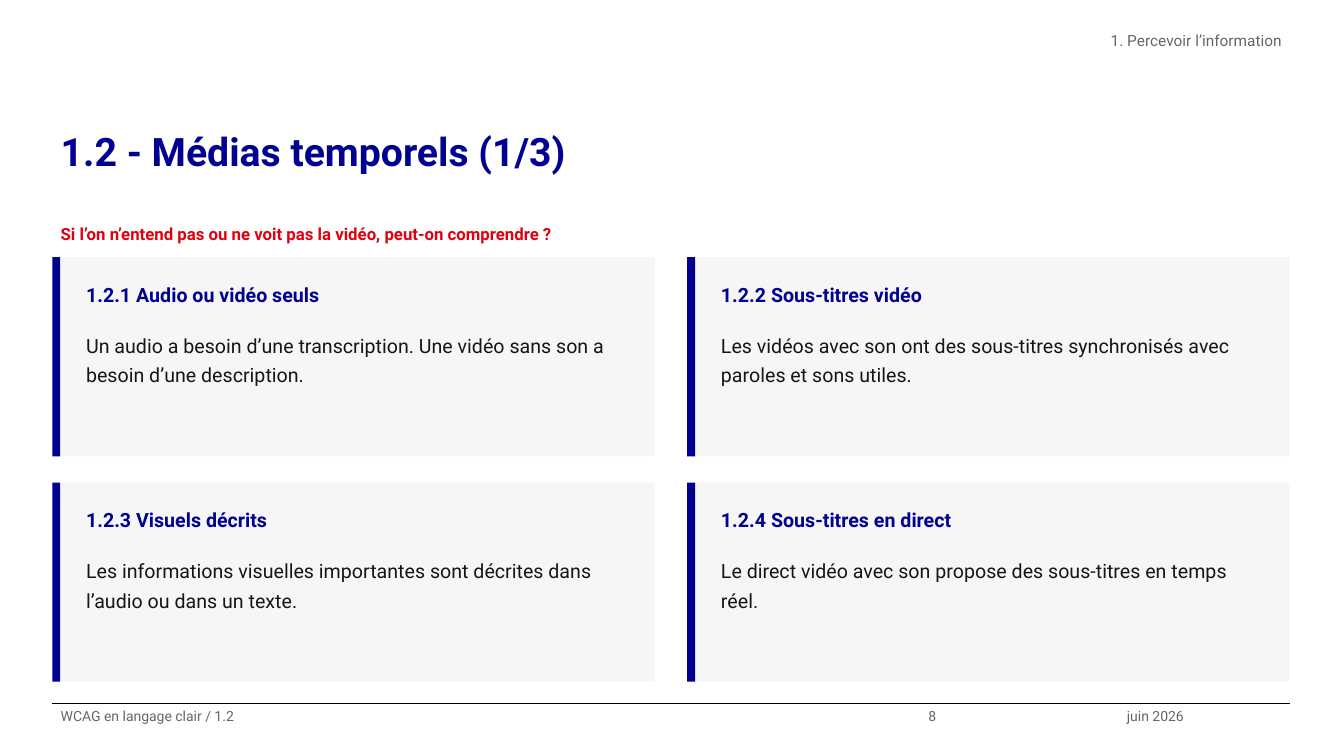
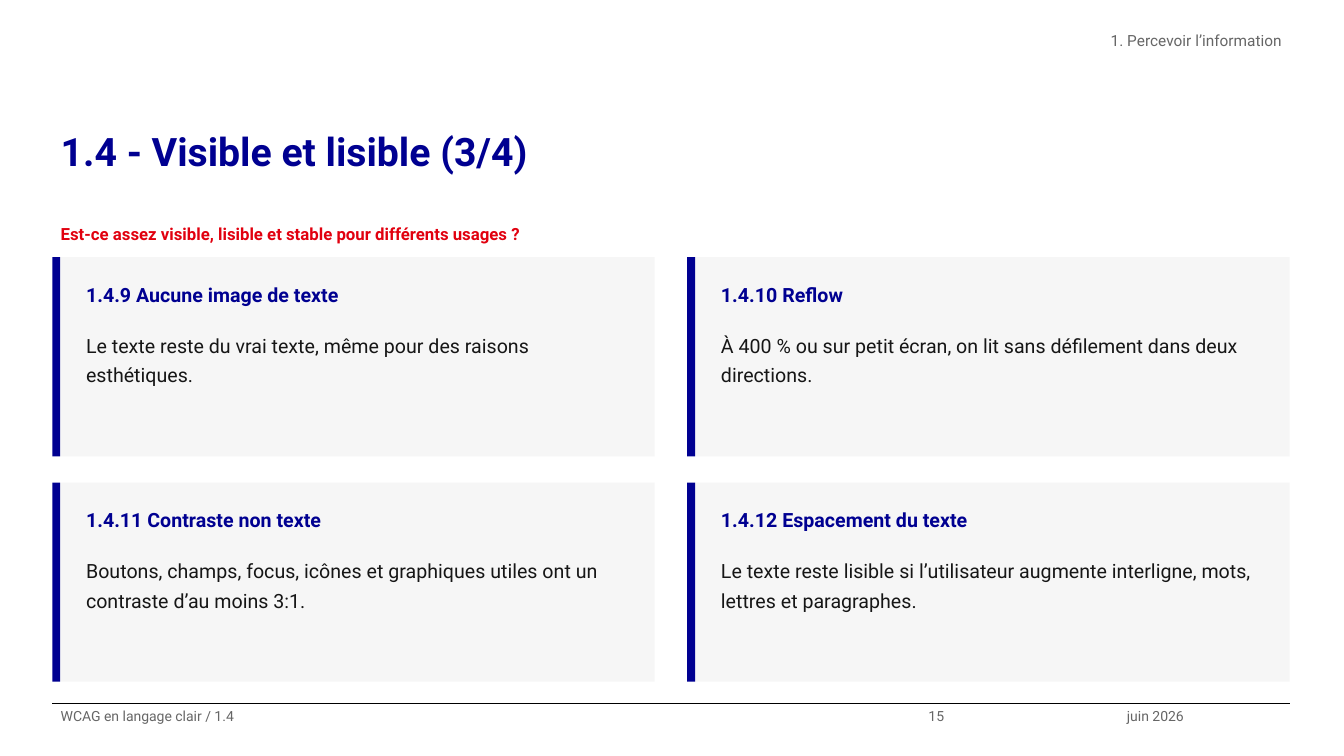
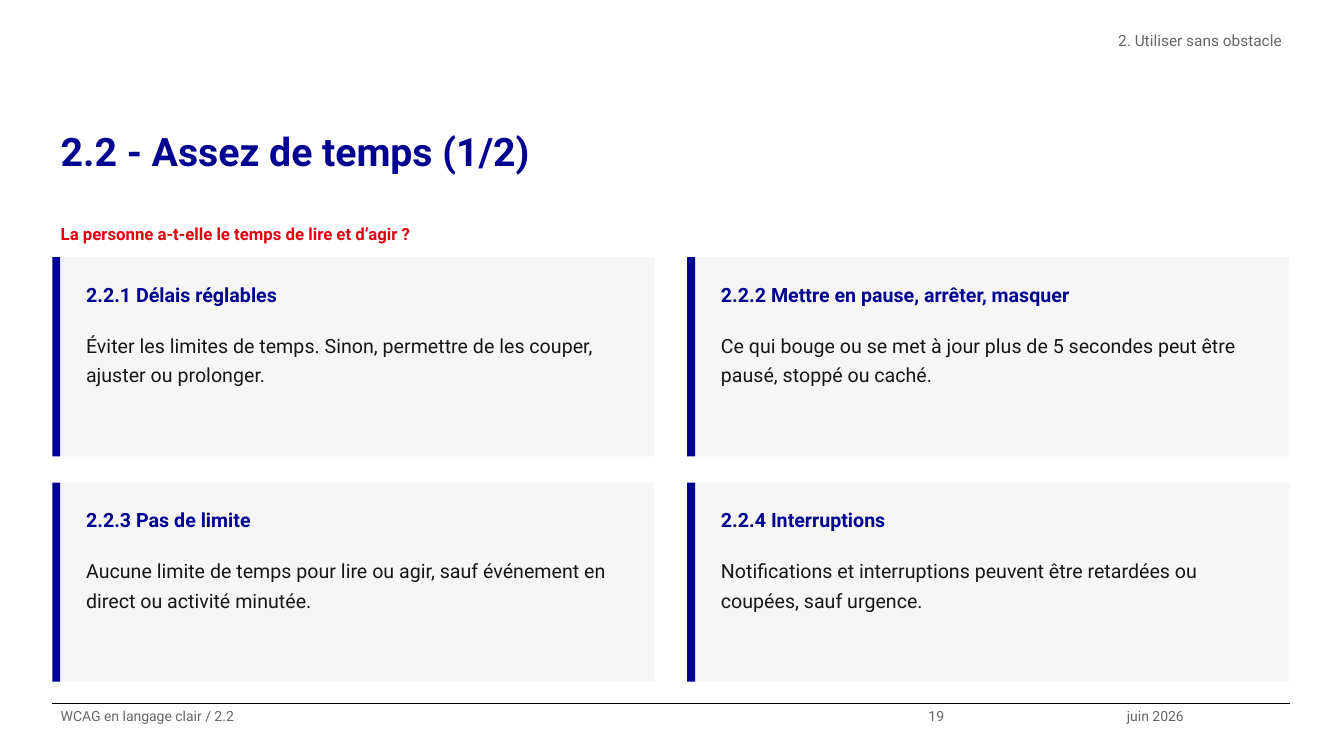
from dataclasses import dataclass
from typing import NamedTuple

from lxml.etree import SubElement
from pptx import Presentation
from pptx.dml.color import RGBColor as RGB
from pptx.enum.shapes import MSO_CONNECTOR as CONNECTOR, MSO_SHAPE as SHAPE
from pptx.enum.text import MSO_ANCHOR as ANCHOR, MSO_AUTO_SIZE as AUTO, PP_ALIGN as ALIGN
from pptx.oxml.ns import qn
from pptx.util import Cm, Pt


class Style(NamedTuple):
    size: float
    color: RGB
    bold: bool = False


@dataclass(frozen=True)
class Theme:
    font: str = "Roboto"
    blue: RGB = RGB(0x00, 0x00, 0x91)
    card: RGB = RGB(0xF6, 0xF6, 0xF6)
    rule: RGB = RGB(0x00, 0x00, 0x00)
    title: Style = Style(28, RGB(0x00, 0x00, 0x91), True)
    question: Style = Style(12, RGB(0xE1, 0x00, 0x0F), True)
    heading: Style = Style(14, RGB(0x00, 0x00, 0x91), True)
    text: Style = Style(14, RGB(0x16, 0x16, 0x16))
    section: Style = Style(11, RGB(0x66, 0x66, 0x66))
    footer: Style = Style(10, RGB(0x66, 0x66, 0x66))
    line_spacing: float = 1.25


class Box(NamedTuple):
    """Left, top, width and height in centimetres."""
    x: float
    y: float
    w: float
    h: float

    def emu(self):
        return [Cm(v) for v in self]


T = Theme()
LEFT, WIDTH = 1.32, 31.2
TITLE = Box(LEFT, 2.92, WIDTH, 2.67)
SECTION = Box(12.27, 0.66, 20.25, 1.32)
QUESTION = Box(LEFT, 5.38, WIDTH, 0.71)
FOOTER = Box(LEFT, 17.73, WIDTH, 1.32)
CARDS = Box(LEFT, 6.48, 31.18, 10.7)
CARD_W, CARD_H = 15.18, 5.02
BAR_W = 0.2
PAGE_X, DATE_X = 21.87, 26.87

SLIDES = [
    dict(section="1. Percevoir l’information", code="1.2", title="Médias temporels (1/3)", page=8,
         question="Si l’on n’entend pas ou ne voit pas la vidéo, peut-on comprendre ?", first=1,
         cards=[
             ("Audio ou vidéo seuls",
              "Un audio a besoin d’une transcription. Une vidéo sans son a besoin d’une description."),
             ("Sous-titres vidéo",
              "Les vidéos avec son ont des sous-titres synchronisés avec paroles et sons utiles."),
             ("Visuels décrits",
              "Les informations visuelles importantes sont décrites dans l’audio ou dans un texte."),
             ("Sous-titres en direct",
              "Le direct vidéo avec son propose des sous-titres en temps réel."),
         ]),
    dict(section="1. Percevoir l’information", code="1.4", title="Visible et lisible (3/4)", page=15,
         question="Est-ce assez visible, lisible et stable pour différents usages ?", first=9,
         cards=[
             ("Aucune image de texte",
              "Le texte reste du vrai texte, même pour des raisons esthétiques."),
             ("Reflow",
              "À 400 % ou sur petit écran, on lit sans défilement dans deux directions."),
             ("Contraste non texte",
              "Boutons, champs, focus, icônes et graphiques utiles ont un contraste d’au moins 3:1."),
             ("Espacement du texte",
              "Le texte reste lisible si l’utilisateur augmente interligne, mots, lettres et paragraphes."),
         ]),
    dict(section="2. Utiliser sans obstacle", code="2.2", title="Assez de temps (1/2)", page=19,
         question="La personne a-t-elle le temps de lire et d’agir ?", first=1,
         cards=[
             ("Délais réglables",
              "Éviter les limites de temps. Sinon, permettre de les couper, ajuster ou prolonger."),
             ("Mettre en pause, arrêter, masquer",
              "Ce qui bouge ou se met à jour plus de 5 secondes peut être pausé, stoppé ou caché."),
             ("Pas de limite",
              "Aucune limite de temps pour lire ou agir, sauf événement en direct ou activité minutée."),
             ("Interruptions",
              "Notifications et interruptions peuvent être retardées ou coupées, sauf urgence."),
         ]),
]


def write(sp, text, style, align=ALIGN.LEFT, pad_y=0.0):
    tf = sp.text_frame
    tf.word_wrap = True
    tf.auto_size = AUTO.NONE
    tf.vertical_anchor = ANCHOR.TOP
    tf.margin_left = tf.margin_right = Cm(0.21)
    tf.margin_top = tf.margin_bottom = Cm(pad_y)
    p = tf.paragraphs[0]
    p.alignment = align
    p.line_spacing = T.line_spacing
    p.space_before = Pt(0)
    r = p.add_run()
    r.text = text
    r.font.name = T.font
    r.font.size = Pt(style.size)
    r.font.bold = style.bold
    r.font.color.rgb = style.color


def add_text(s, box, text, style, pad_y=0.0):
    write(s.shapes.add_textbox(*box.emu()), text, style, pad_y=pad_y)


def add_rect(s, box, color):
    sp = s.shapes.add_shape(SHAPE.RECTANGLE, *box.emu())
    sp.shadow.inherit = False
    sp.fill.solid()
    sp.fill.fore_color.rgb = color
    sp.line.fill.background()


def fill_placeholder(sp, box, text, style, align=ALIGN.LEFT):
    sp.left, sp.top, sp.width, sp.height = box.emu()
    pPr = sp.text_frame.paragraphs[0]._p.get_or_add_pPr()
    pPr.set("marL", "0")
    pPr.set("indent", "0")
    SubElement(pPr, qn("a:buNone"))
    write(sp, text, style, align)


def add_footer(s, box, code, page):
    y = Cm(box.y)
    line = s.shapes.add_connector(CONNECTOR.STRAIGHT, Cm(box.x), y, Cm(box.x + box.w), y)
    line.line.color.rgb = T.rule
    line.line.width = Pt(0.8)
    SubElement(line.element.spPr, qn("a:effectLst"))
    stops = [box.x, PAGE_X + box.x, DATE_X + box.x, box.x + box.w]
    texts = [f"WCAG en langage clair / {code}", str(page), "juin 2026"]
    for x, end, text in zip(stops, stops[1:], texts):
        add_text(s, Box(x, box.y, end - x, box.h), text, T.footer)


def add_card(s, box, heading, text):
    add_rect(s, Box(box.x + BAR_W, box.y, box.w - BAR_W, box.h), T.card)
    add_rect(s, Box(box.x, box.y, BAR_W, box.h), T.blue)
    x, w = box.x + 0.64, box.w - 1.03
    add_text(s, Box(x, box.y + 0.37, w, 1.14), heading, T.heading, 0.13)
    add_text(s, Box(x, box.y + 1.65, w, 2.99), text, T.text, 0.13)


def add_cards(s, box, code, first, cards):
    """Fill a grid of two columns and two rows, numbering cards from first."""
    for i, (name, text) in enumerate(cards):
        row, col = divmod(i, 2)
        x = box.x + col * (box.w - CARD_W)
        y = box.y + row * (box.h - CARD_H)
        add_card(s, Box(x, y, CARD_W, CARD_H), f"{code}.{first + i} {name}", text)


def add_criteria_slide(prs, section, code, title, page, question, first, cards):
    s = prs.slides.add_slide(prs.slide_layouts[1])
    fill_placeholder(s.shapes.title, TITLE, f"{code} - {title}", T.title)
    fill_placeholder(s.placeholders[1], SECTION, section, T.section, ALIGN.RIGHT)
    add_text(s, QUESTION, question, T.question, 0.13)
    add_cards(s, CARDS, code, first, cards)
    add_footer(s, FOOTER, code, page)


def main():
    prs = Presentation()
    prs.slide_width, prs.slide_height = Cm(33.87), Cm(19.05)
    for content in SLIDES:
        add_criteria_slide(prs, **content)
    prs.save("out.pptx")


if __name__ == "__main__":
    main()
